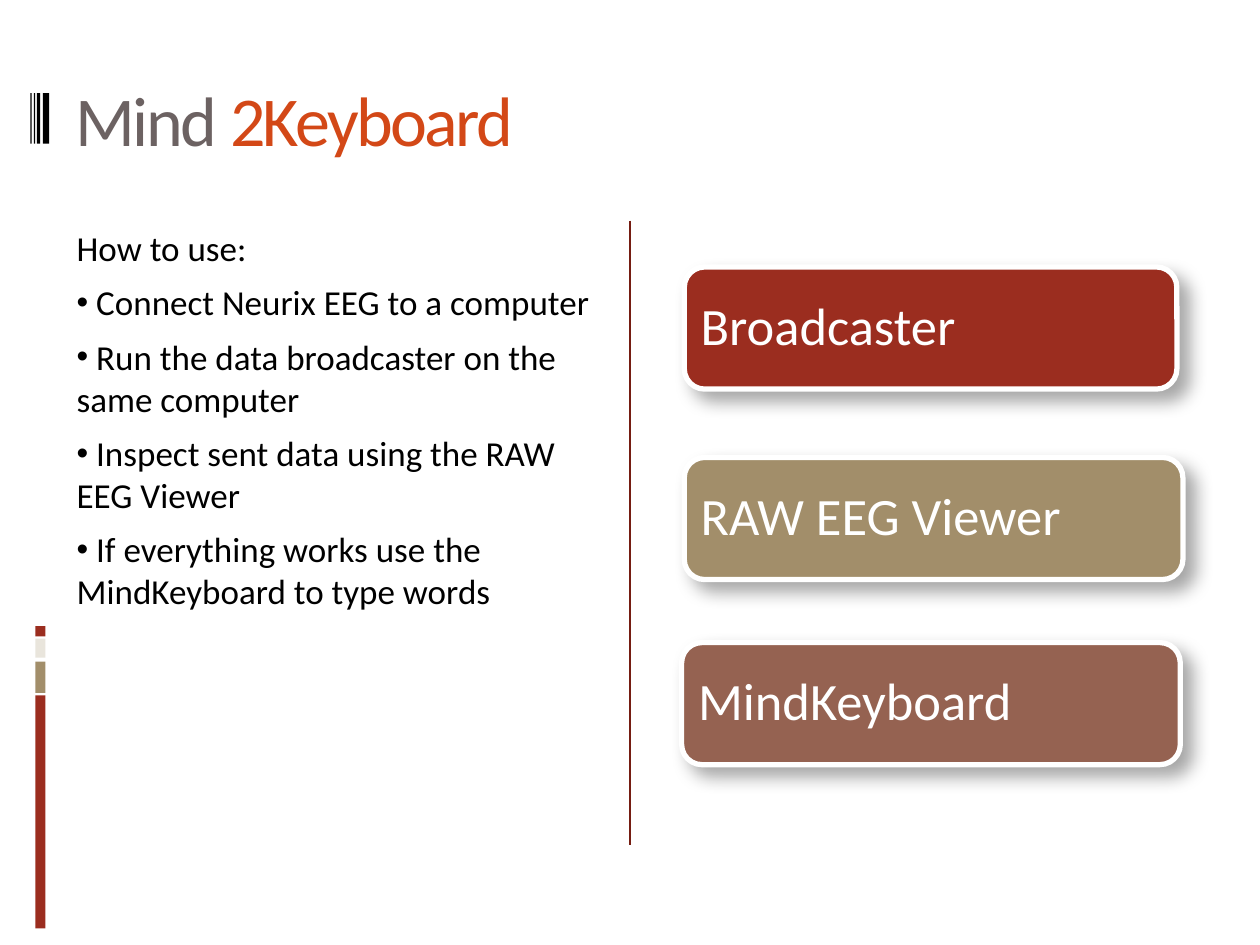
import pptx
import pptx.dml.color
import pptx.enum.shapes
import pptx.enum.text
import pptx.oxml
import pptx.oxml.ns
import pptx.util
from lxml import etree

Pt = pptx.util.Pt
SHAPES = pptx.enum.shapes.MSO_SHAPE
ANCHOR = pptx.enum.text.MSO_ANCHOR
FONT = "Calibri"

# Content
title_runs = [("Mind ", "6C6262"), ("2Keyboard", "D34817")]
intro = "How to use:"
steps = [
    "Connect Neurix EEG to a computer",
    "Run the data broadcaster on the same computer",
    "Inspect sent data using the RAW EEG Viewer",
    "If everything works use the MindKeyboard to type words",
]
# Program name, colour, left, top, width
programs = [
    ("Broadcaster", "9B2D1F", 391, 152.6, 281.5),
    ("RAW EEG Viewer", "A28E6A", 391, 261.4, 285),
    ("MindKeyboard", "956251", 389.5, 367.2, 285),
]
# Side bar segments: top, height, colour
side_segments = [(397.4, 133.2, "9B2D1F"), (378, 18, "A28E6A"),
                 (365, 10.8, "E9E5DC"), (357.8, 5.8, "9B2D1F")]
# Stripes beside the title: left, width
stripes = [(24.5, 3.6), (21, 2), (19.4, 0.7), (17.4, 0.7)]


def color(value):
    return pptx.dml.color.RGBColor.from_string(value)


def add_text(paragraph, text, size, fill, spacing=None):
    run = paragraph.add_run()
    run.text = text
    run.font.name = FONT
    run.font.size = Pt(size)
    run.font.color.rgb = color(fill)
    if spacing is not None:
        run.font._element.set("spc", str(int(spacing * 100)))


def add_block(kind, left, top, width, height, fill):
    block = slide.shapes.add_shape(kind, Pt(left), Pt(top), Pt(width), Pt(height))
    block.shadow.inherit = False
    block.fill.solid()
    block.fill.fore_color.rgb = color(fill)
    block.line.fill.background()
    return block


def add_bullet(paragraph):
    properties = paragraph._p.get_or_add_pPr()
    properties.set("marL", "0")
    properties.set("indent", "0")
    for tag, name, value in (("a:buSzPct", "val", "95000"),
                             ("a:buFont", "typeface", "Arial"),
                             ("a:buChar", "char", "•")):
        etree.SubElement(properties, pptx.oxml.ns.qn(tag)).set(name, value)


def add_shadow(block):
    effects = block._element.spPr.find(pptx.oxml.ns.qn("a:effectLst"))
    effects.append(pptx.oxml.parse_xml(
        f'<a:outerShdw {pptx.oxml.ns.nsdecls("a")} blurRad="{Pt(10.2)}" '
        f'dist="{Pt(8)}" dir="2700000" algn="tl" rotWithShape="0">'
        '<a:srgbClr val="000000"><a:alpha val="35000"/></a:srgbClr></a:outerShdw>'))


presentation = pptx.Presentation()
presentation.slide_width, presentation.slide_height = Pt(720), Pt(540)
slide = presentation.slides.add_slide(presentation.slide_layouts[5])

# Side bar, title stripes and divider
for top, height, fill in side_segments:
    add_block(SHAPES.RECTANGLE, 20.2, top, 5.8, height, fill)
for left, width in stripes:
    add_block(SHAPES.RECTANGLE, left, 53.3, width, 28.8, "000000")
divider = slide.shapes.add_connector(
    pptx.enum.shapes.MSO_CONNECTOR.STRAIGHT, Pt(360), Pt(126), Pt(360), Pt(483))
divider.line.color.rgb = color("751D12")
divider.line.width = Pt(0.75)
etree.SubElement(divider._element.spPr, pptx.oxml.ns.qn("a:effectLst"))

# Title
title = slide.shapes.title
title.left, title.top, title.width, title.height = Pt(36), Pt(16.6), Pt(648), Pt(102.2)
title.text_frame.auto_size = pptx.enum.text.MSO_AUTO_SIZE.NONE
title.text_frame.vertical_anchor = ANCHOR.MIDDLE
heading = title.text_frame.paragraphs[0]
heading.alignment = pptx.enum.text.PP_ALIGN.LEFT
for text, fill in title_runs:
    add_text(heading, text, 40, fill, spacing=-1.5)

# Instructions
instructions = slide.shapes.add_textbox(Pt(36.7), Pt(126), Pt(318.2), Pt(356.4)).text_frame
instructions.word_wrap = True
add_text(instructions.paragraphs[0], intro, 20, "000000")
for step in steps:
    paragraph = instructions.add_paragraph()
    add_bullet(paragraph)
    add_text(paragraph, " " + step, 20, "000000")
for paragraph in instructions.paragraphs:
    paragraph.space_before = Pt(7)

# Programs
for name, fill, left, top, width in programs:
    program = add_block(SHAPES.ROUNDED_RECTANGLE, left, top, width, 69.8, fill)
    program.line.color.rgb = color("FFFFFF")
    program.line.width = Pt(3)
    add_shadow(program)
    label = program.text_frame
    label.word_wrap = True
    label.vertical_anchor = ANCHOR.MIDDLE
    label.margin_left = label.margin_right = Pt(6)
    label.margin_top = label.margin_bottom = 0
    label.paragraphs[0].alignment = pptx.enum.text.PP_ALIGN.LEFT
    label.paragraphs[0].line_spacing = 0.9
    add_text(label.paragraphs[0], name, 30, "FFFFFF")

presentation.save("out.pptx")
